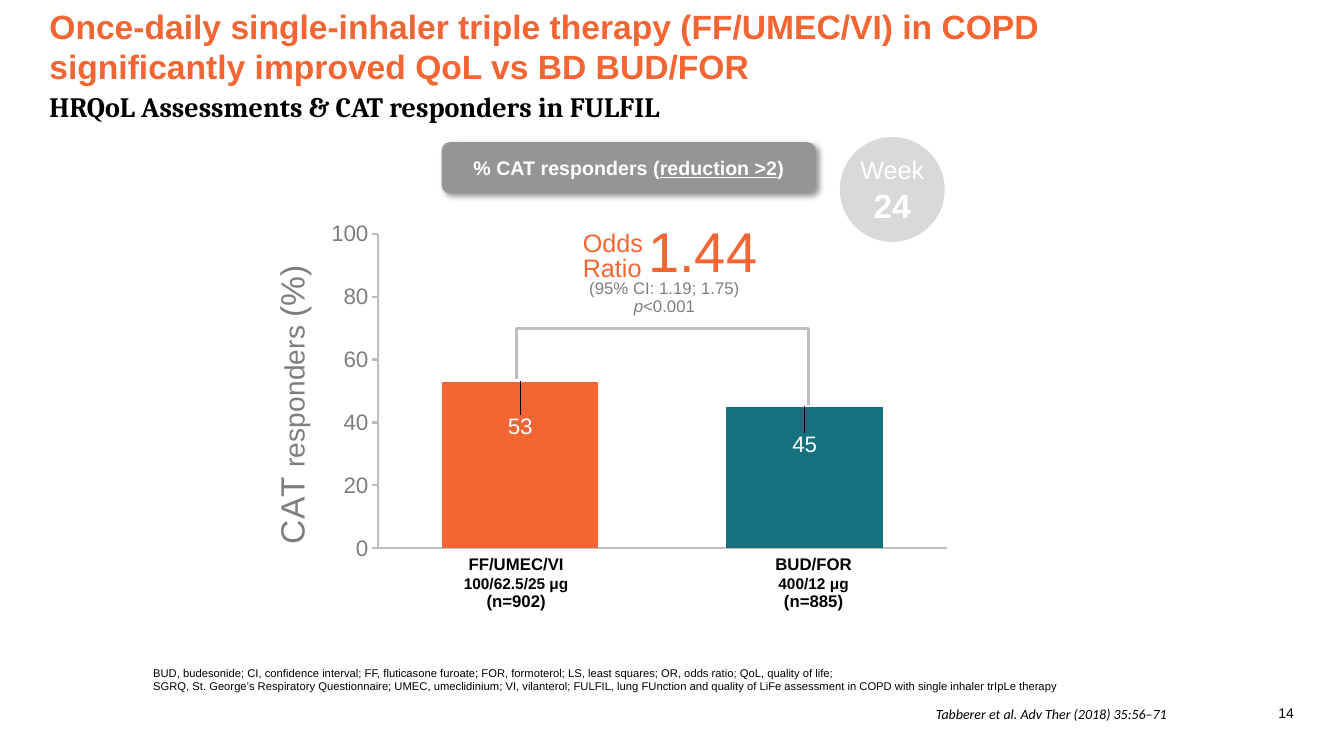
"""Build the CAT responder slide with an editable bar chart."""
from dataclasses import dataclass

from lxml import etree
from pptx import Presentation
from pptx import util as u
from pptx.chart import data as chart_data
from pptx.dml.color import RGBColor
from pptx.enum import chart as charts, shapes, text
from pptx.oxml import parse_xml
from pptx.oxml.ns import nsdecls, qn

Inches = u.Inches
CENTER, RIGHT = text.PP_ALIGN.CENTER, text.PP_ALIGN.RIGHT


@dataclass(frozen=True)
class Theme:
    """Colours, fonts and type sizes of the slide."""
    orange: str = "F36633"
    teal: str = "15717D"
    grey: str = "7E7E7E"
    rule: str = "BEBEBE"
    banner: str = "959595"
    disc: str = "D9D9D9"
    black: str = "000000"
    white: str = "FFFFFF"
    font: str = "Arial"
    figure: int = 40
    title: int = 24
    subtitle: int = 20
    lead: int = 18
    axis: int = 16
    heading: int = 14
    label: int = 12
    dose: int = 11
    source: int = 10
    note: int = 8


THEME = Theme()
CHART = (2.6, 2.1, 7, 3.6)
PLOT = (3.75, 2.32, 5.64, 3.12)


def rgb(color):
    """Turn a hex string into a colour."""
    return RGBColor.from_string(color)


def set_font(font, size, color, face=THEME.font, **flags):
    """Apply face, size, colour and flags such as bold to a font."""
    font.name, font.size = face, u.Pt(size)
    font.color.rgb = rgb(color)
    for flag, value in flags.items():
        setattr(font, flag, value)


def write(frame, paragraphs, size=THEME.label, color=THEME.black, align=None,
          spacing=None, anchor=text.MSO_ANCHOR.TOP, inset=(0, 0), **flags):
    """Fill a frame with paragraphs of strings or (string, overrides) runs."""
    frame.word_wrap = True
    frame.vertical_anchor = anchor
    frame.margin_left = frame.margin_right = Inches(inset[0])
    frame.margin_top = frame.margin_bottom = Inches(inset[1])
    for index, runs in enumerate(paragraphs):
        paragraph = frame.paragraphs[0] if index == 0 else frame.add_paragraph()
        paragraph.alignment = align
        if spacing:
            paragraph.line_spacing = u.Pt(spacing)
        add_runs(paragraph, runs, size=size, color=color, **flags)


def add_runs(paragraph, runs, **base):
    """Add runs to a paragraph, each with its own overrides of the base."""
    for words in [runs] if isinstance(runs, str) else runs:
        words, changes = (words, {}) if isinstance(words, str) else words
        run = paragraph.add_run()
        run.text = words
        set_font(run.font, **{**base, **changes})


def add_text(slide, box, paragraphs, **style):
    """Add a text box."""
    frame = slide.shapes.add_textbox(*map(Inches, box)).text_frame
    write(frame, paragraphs, **style)


def add_panel(slide, kind, box, fill, paragraphs, **style):
    """Add a filled shape with centred text."""
    panel = slide.shapes.add_shape(kind, *map(Inches, box))
    panel.shadow.inherit = False
    panel.fill.solid()
    panel.fill.fore_color.rgb = rgb(fill)
    panel.line.fill.background()
    write(panel.text_frame, paragraphs, color=THEME.white, align=CENTER,
          anchor=text.MSO_ANCHOR.MIDDLE, **style)
    return panel


def add_shadow(panel):
    """Give a shape a soft shadow to the lower right."""
    effects = panel._element.spPr.find(qn("a:effectLst"))
    effects.append(parse_xml(
        f'<a:outerShdw {nsdecls("a")} blurRad="{u.Pt(4)}" dist="{u.Pt(3)}" '
        'dir="2700000" algn="tl" rotWithShape="0"><a:srgbClr val="000000">'
        '<a:alpha val="40000"/></a:srgbClr></a:outerShdw>'))


def manual_layout(**values):
    """Make a chart layout element from its settings."""
    layout = parse_xml(f'<c:layout {nsdecls("c")}><c:manualLayout/></c:layout>')
    for tag, value in values.items():
        etree.SubElement(layout[0], qn(f"c:{tag}")).set("val", str(value))
    return layout


def style_axes(chart):
    """Format both axes and the value axis title."""
    values, groups = chart.value_axis, chart.category_axis
    values.minimum_scale, values.maximum_scale, values.major_unit = 0, 100, 20
    values.has_major_gridlines = False
    values.major_tick_mark = charts.XL_TICK_MARK.OUTSIDE
    groups.major_tick_mark = charts.XL_TICK_MARK.NONE
    groups.tick_label_position = charts.XL_TICK_LABEL_POSITION.NONE
    for axis in (values, groups):
        axis.format.line.color.rgb = rgb(THEME.rule)
        axis.format.line.width = u.Pt(1.56)
    set_font(values.tick_labels.font, THEME.axis, THEME.grey)
    title = values.axis_title
    add_runs(title.text_frame.paragraphs[0],
             ["CAT ", ("responders ", {"size": THEME.subtitle}), "(%)"],
             size=THEME.title, color=THEME.grey, bold=False)
    element = title._element
    for old in element.findall(qn("c:layout")):
        element.remove(old)
    element.find(qn("c:tx")).addnext(manual_layout(
        xMode="edge", yMode="edge", x=0.01, y=0.14))


def add_responder_chart(slide):
    """Add the column chart of CAT responders."""
    source = chart_data.CategoryChartData()
    source.categories = ["FF/UMEC/VI", "BUD/FOR"]
    source.add_series("CAT responders (%)", (53, 45))
    chart = slide.shapes.add_chart(charts.XL_CHART_TYPE.COLUMN_CLUSTERED,
                                   *map(Inches, CHART), source).chart
    chart.has_legend = chart.has_title = False
    set_font(chart.font, THEME.axis, THEME.grey)
    style_axes(chart)
    left, top, width, height = CHART
    x, y, w, h = PLOT
    area = chart._chartSpace.chart.plotArea
    for old in area.findall(qn("c:layout")):
        area.remove(old)
    area.insert(0, manual_layout(
        layoutTarget="inner", xMode="edge", yMode="edge",
        x=(x - left) / width, y=(y - top) / height, w=w / width, h=h / height))
    plot = chart.plots[0]
    plot.vary_by_categories = False
    plot.gap_width = 82
    for index, (color, drop) in enumerate([(THEME.orange, 0.08), (THEME.teal, 0.06)]):
        point = plot.series[0].points[index]
        point.format.fill.solid()
        point.format.fill.fore_color.rgb = rgb(color)
        label = point.data_label
        set_font(label.font, THEME.axis, THEME.white)
        label.position = charts.XL_LABEL_POSITION.INSIDE_END
        entry = plot.series[0]._element.findall(".//" + qn("c:dLbl"))[index]
        entry.find(qn("c:idx")).addnext(manual_layout(x=0, y=drop))


def add_bracket(slide):
    """Join the two columns with an open bracket."""
    points = [tuple(map(Inches, p)) for p in
              [(5.12, 3.76), (5.12, 3.26), (8.02, 3.26), (8.02, 4.02)]]
    builder = slide.shapes.build_freeform(*points[0])
    builder.add_line_segments(points[1:], close=False)
    bracket = builder.convert_to_shape()
    bracket.shadow.inherit = False
    bracket.fill.background()
    bracket.line.color.rgb = rgb(THEME.rule)
    bracket.line.width = u.Pt(2.04)


def main():
    """Build and save the slide."""
    deck = Presentation()
    deck.slide_width, deck.slide_height = Inches(13.33), Inches(7.5)
    slide = deck.slides.add_slide(deck.slide_layouts[5])
    title = slide.shapes.title
    title.left, title.top, title.width, title.height = map(Inches, (0.49, 0.06, 11.05, 0.8))
    write(title.text_frame,
          ["Once-daily single-inhaler triple therapy (FF/UMEC/VI) in COPD "
           "significantly improved QoL vs BD BUD/FOR"],
          size=THEME.title, color=THEME.orange, bold=True,
          align=text.PP_ALIGN.LEFT, anchor=text.MSO_ANCHOR.BOTTOM)
    add_text(slide, (0.49, 0.89, 11.08, 0.35), ["HRQoL Assessments & CAT responders in FULFIL"],
             size=THEME.subtitle, face="Cambria", bold=True)

    add_responder_chart(slide)
    add_bracket(slide)
    for left, drug, dose, count in [(4.29, "FF/UMEC/VI", "100/62.5/25 μg", "(n=902)"),
                                    (7.24, "BUD/FOR", "400/12 μg", "(n=885)")]:
        add_text(slide, (left, 5.51, 1.66, 0.58),
                 [drug, [(dose, {"size": THEME.dose})], count],
                 align=CENTER, spacing=13.2, bold=True)

    add_text(slide, (5.78, 2.32, 0.65, 0.5), ["Odds", "Ratio"],
             size=THEME.lead, color=THEME.orange, spacing=17.3)
    add_text(slide, (6.43, 2.15, 1.2, 0.69), ["1.44"], size=THEME.figure, color=THEME.orange)
    add_text(slide, (5.83, 2.78, 1.52, 0.39),
             ["(95% CI: 1.19; 1.75)", [("p", {"italic": True}), "<0.001"]],
             color=THEME.grey, align=CENTER, spacing=12.9)

    banner = add_panel(slide, shapes.MSO_SHAPE.ROUNDED_RECTANGLE, (4.38, 1.41, 3.71, 0.51),
                       THEME.banner,
                       [["% CAT responders (", ("reduction >2", {"underline": True}), ")"]],
                       size=THEME.heading, bold=True)
    add_shadow(banner)
    add_panel(slide, shapes.MSO_SHAPE.OVAL, (8.33, 1.36, 1.04, 1.04), THEME.disc,
              [["Week ", ("24", {"size": THEME.title, "bold": True})]], size=THEME.lead)

    add_text(slide, (1.42, 6.56, 11.38, 0.37),
             ["BUD, budesonide; CI, confidence interval; FF, fluticasone furoate; FOR, formoterol; "
              "LS, least squares; OR, odds ratio; QoL, quality of life;",
              "SGRQ, St. George’s Respiratory Questionnaire; UMEC, umeclidinium; VI, vilanterol; "
              "FULFIL, lung FUnction and quality of LiFe assessment in COPD with single inhaler "
              "trIpLe therapy"], size=THEME.note, inset=(0.1, 0.05))
    add_text(slide, (5, 6.95, 6.67, 0.27), ["Tabberer et al. Adv Ther (2018) 35:56–71"],
             size=THEME.source, face="Calibri", italic=True, align=RIGHT, inset=(0.1, 0.05))
    add_text(slide, (12.34, 6.94, 0.59, 0.3), ["14"],
             size=THEME.source, align=RIGHT, inset=(0.1, 0.05))
    deck.save("out.pptx")


if __name__ == "__main__":
    main()
